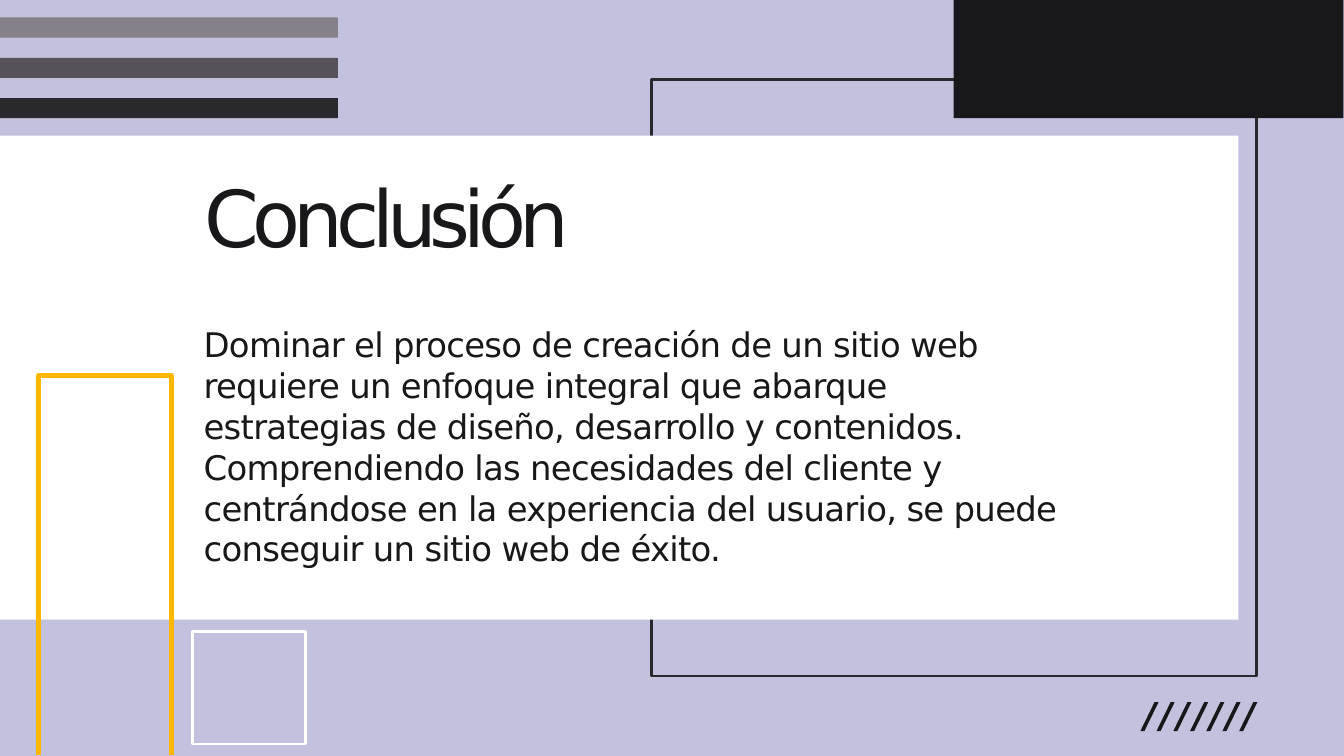
from dataclasses import dataclass

from lxml.etree import SubElement
from pptx import Presentation
from pptx.dml.color import RGBColor
from pptx.enum.shapes import MSO_SHAPE
from pptx.enum.text import MSO_ANCHOR, MSO_AUTO_SIZE, PP_ALIGN
from pptx.oxml.ns import qn
from pptx.util import Emu, Pt

PX = 9144  # EMU per px, 100 px to the inch

COLORS = {
    "lavender": "C2C2DF",
    "white": "FFFFFF",
    "ink": "18181A",
    "charcoal": "29282C",
    "slate": "575259",
    "gray": "86808A",
    "amber": "FFB700",
}


@dataclass(frozen=True)
class Box:
    left: int
    top: int
    width: int
    height: int


@dataclass(frozen=True)
class TextStyle:
    size: float
    line_spacing: float
    tracking: int  # hundredths of a point


def px(length: int) -> Emu:
    return Emu(length * PX)


def rgb(color: str) -> RGBColor:
    return RGBColor.from_string(COLORS[color])


def paint(shape, fill: str | None, line: str | None = None, weight: int = 0) -> None:
    shape.shadow.inherit = False
    if fill:
        shape.fill.solid()
        shape.fill.fore_color.rgb = rgb(fill)
    else:
        shape.fill.background()
    if line:
        shape.line.color.rgb = rgb(line)
        shape.line.width = px(weight)
    else:
        shape.line.fill.background()


def add_preset(slide, box: Box, preset=MSO_SHAPE.RECTANGLE):
    return slide.shapes.add_shape(
        preset, px(box.left), px(box.top), px(box.width), px(box.height))


def add_block(slide, box: Box, color: str) -> None:
    paint(add_preset(slide, box), color)


def add_frame(slide, box: Box, color: str, weight: int) -> None:
    paint(add_preset(slide, box), None, color, weight)


def add_arch(slide, box: Box, color: str, weight: int) -> None:
    """Outline that is open at the bottom."""
    right, bottom = box.left + box.width, box.top + box.height
    builder = slide.shapes.build_freeform(box.left, bottom, scale=PX)
    builder.add_line_segments(
        [(box.left, box.top), (right, box.top), (right, bottom)], close=False)
    paint(builder.convert_to_shape(), None, color, weight)


def add_slashes(slide, first: Box, span: int, count: int, thickness: int) -> None:
    for i in range(count):
        left = first.left + round(i * span / (count - 1))
        slash = add_preset(slide, Box(left, first.top, first.width, first.height),
                           MSO_SHAPE.PARALLELOGRAM)
        slash.adjustments[0] = (first.width - thickness) / first.width
        paint(slash, "ink")


def fill_placeholder(placeholder, box: Box, text: str, style: TextStyle) -> None:
    placeholder.left, placeholder.top = px(box.left), px(box.top)
    placeholder.width, placeholder.height = px(box.width), px(box.height)
    frame = placeholder.text_frame
    frame.text = text
    frame.word_wrap = True
    frame.auto_size = MSO_AUTO_SIZE.NONE
    frame.vertical_anchor = MSO_ANCHOR.TOP
    frame.margin_left = frame.margin_top = frame.margin_right = frame.margin_bottom = 0

    paragraph = frame.paragraphs[0]
    paragraph.alignment = PP_ALIGN.LEFT
    paragraph.space_before = Pt(0)
    paragraph.line_spacing = Pt(style.line_spacing)
    properties = paragraph._p.get_or_add_pPr()
    properties.set("marL", "0")
    properties.set("indent", "0")
    SubElement(properties, qn("a:buNone"))

    run = paragraph.runs[0]
    run.font.name = "DejaVu Sans"
    run.font.size = Pt(style.size)
    run.font.color.rgb = rgb("ink")
    run._r.get_or_add_rPr().set("spc", str(style.tracking))

    # Bring the text in front of the decoration
    placeholder.element.getparent().append(placeholder.element)


def main() -> None:
    deck = Presentation()
    deck.slide_width, deck.slide_height = px(2000), px(1125)
    slide = deck.slides.add_slide(deck.slide_layouts[1])
    slide.background.fill.solid()
    slide.background.fill.fore_color.rgb = rgb("lavender")

    # Dark frame behind the white panel
    add_frame(slide, Box(969, 118, 901, 888), "charcoal", 4)
    add_block(slide, Box(0, 202, 1843, 720), "white")

    # Slashes at the bottom right
    add_slashes(slide, Box(1697, 1045, 27, 43), span=147, count=7, thickness=6)

    # Stripes at the top left, dark block at the top right
    for row, color in enumerate(("gray", "slate", "charcoal")):
        add_block(slide, Box(0, 26 + row * 60, 503, 30), color)
    add_block(slide, Box(1419, 0, 580, 176), "ink")

    # Outlines at the bottom left
    add_arch(slide, Box(57, 559, 198, 565), "amber", 8)
    add_frame(slide, Box(286, 940, 169, 167), "white", 4)

    # Title and conclusion
    title, conclusion = slide.placeholders
    fill_placeholder(title, Box(305, 251, 1390, 141), "Conclusión",
                     TextStyle(84, 100.8, -750))
    fill_placeholder(
        conclusion, Box(303, 482, 1282, 361),
        "Dominar el proceso de creación de un sitio web requiere un enfoque "
        "integral que abarque estrategias de diseño, desarrollo y contenidos. "
        "Comprendiendo las necesidades del cliente y centrándose en la "
        "experiencia del usuario, se puede conseguir un sitio web de éxito.",
        TextStyle(36.3, 43.7, -80))

    deck.save("out.pptx")


if __name__ == "__main__":
    main()
